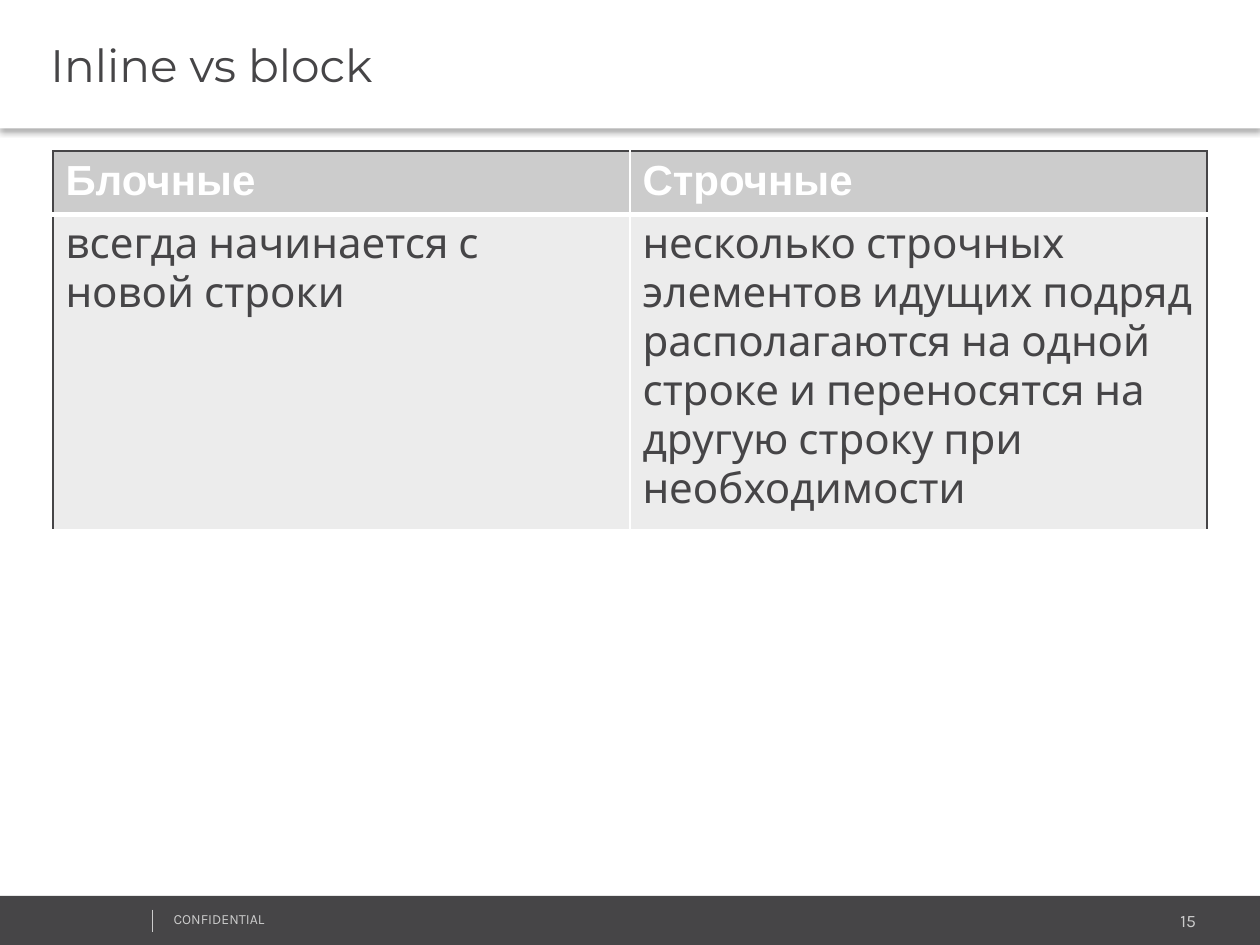
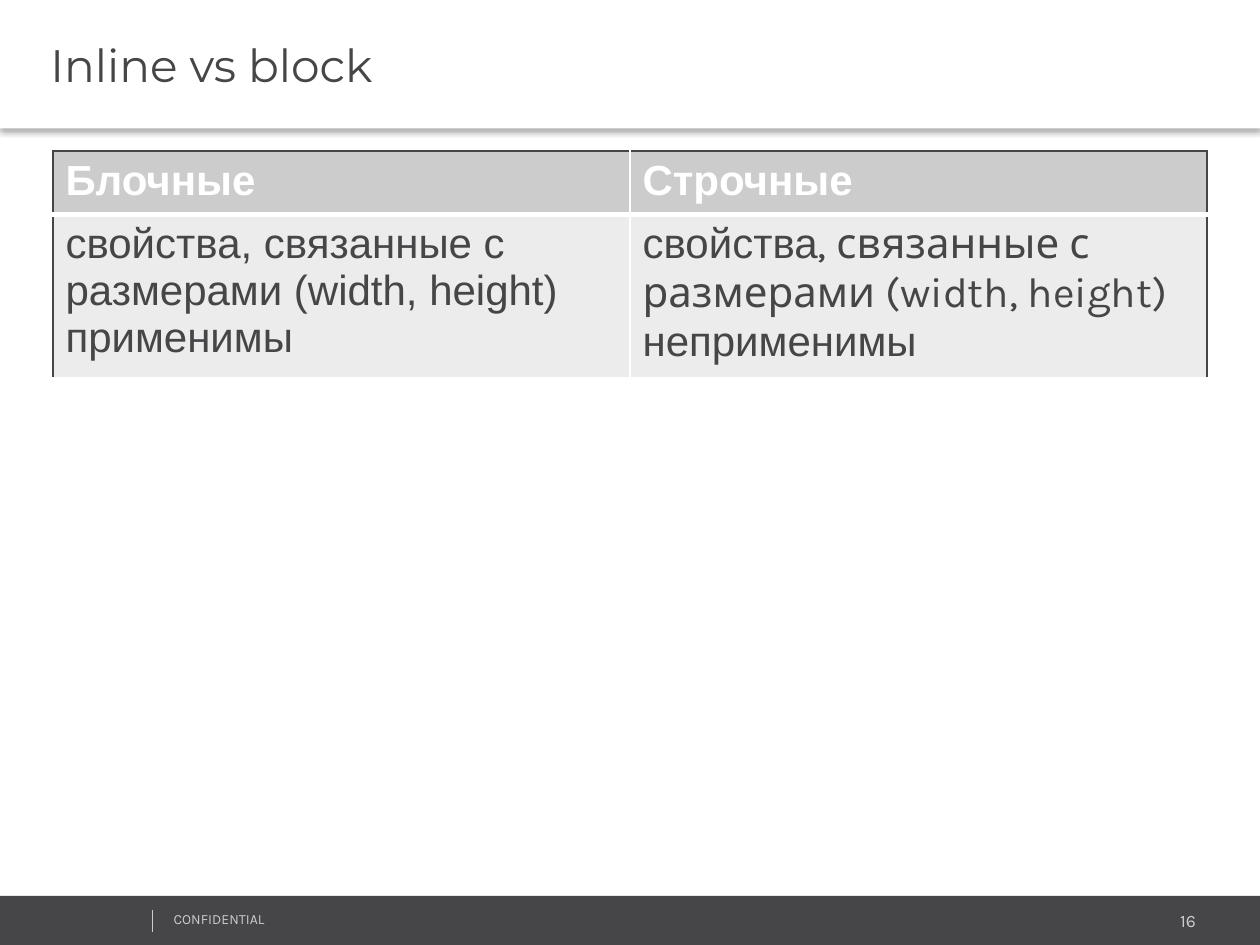
import pptx
import pptx.util
import pptx.dml.color
import pptx.enum.shapes
import pptx.enum.text
import pptx.oxml
import pptx.oxml.ns
from dataclasses import dataclass


@dataclass(frozen=True)
class Theme:
    dark: str = "464547"
    gray: str = "CCCCCC"
    pale: str = "ECECEC"
    white: str = "FFFFFF"
    shadow: str = "000000"
    title_font: str = "Montserrat"
    table_font: str = "Arial"
    accent_font: str = "Karla"
    title_size: int = 26
    table_size: int = 24
    number_size: int = 10
    footer_size: int = 8


THEME = Theme()
ARIAL, KARLA = THEME.table_font, THEME.accent_font

TITLE = "Inline vs block"
FOOTER = "CONFIDENTIAL"
HEADINGS = [[("Блочные", ARIAL)], [("Строчные ", ARIAL)]]
FIRST_NUMBER = 15
SLIDES = [
    {
        "height": 3,
        "cells": [
            [("всегда начинается с новой строки", KARLA)],
            [("несколько строчных элементов идущих подряд располагаются "
              "на одной строке и переносятся на другую строку при "
              "необходимости", KARLA)],
        ],
    },
    {
        "height": 1.8,
        "cells": [
            [("свойства, связанные с размерами (width,\u00a0height) применимы", ARIAL)],
            [("свойства", ARIAL),
             (", связанные с размерами (width,\u00a0height) ", KARLA),
             ("неприменимы", ARIAL)],
        ],
    },
]

WIDTH, HEIGHT = 10, 7.5
MARGIN = 0.42
TITLE_HEIGHT = 1.02
TABLE_TOP = 1.2
ROW_HEIGHT = 0.41
FOOTER_TOP = 7.11

inches = pptx.util.Inches
align = pptx.enum.text.PP_ALIGN
anchor = pptx.enum.text.MSO_ANCHOR


def color(value):
    return pptx.dml.color.RGBColor.from_string(value)


def xml(tag, attributes="", content=""):
    namespace = pptx.oxml.ns.nsdecls("a")
    return pptx.oxml.parse_xml(f"<a:{tag} {namespace} {attributes}>{content}</a:{tag}>")


def write_text(frame, runs, *, size, ink, bold=False, alignment=align.LEFT):
    paragraph = frame.paragraphs[0]
    paragraph.alignment = alignment
    for text, font in runs:
        run = paragraph.add_run()
        run.text = text
        run.font.name = font
        run.font.size = pptx.util.Pt(size)
        run.font.bold = bold
        run.font.color.rgb = color(ink)


def add_title(slide):
    title = slide.shapes.title
    title.left, title.top = 0, 0
    title.width, title.height = inches(WIDTH), inches(TITLE_HEIGHT)
    title.fill.solid()
    title.fill.fore_color.rgb = color(THEME.white)
    title.line.fill.background()
    title._element.spPr.append(xml("effectLst", content=(
        f'<a:outerShdw blurRad="{pptx.util.Pt(3.1)}" dist="{pptx.util.Pt(2)}" '
        'dir="5400000" algn="t" rotWithShape="0">'
        f'<a:srgbClr val="{THEME.shadow}"><a:alpha val="30000"/></a:srgbClr>'
        '</a:outerShdw>')))
    frame = title.text_frame
    frame.auto_size = pptx.enum.text.MSO_AUTO_SIZE.NONE
    frame.vertical_anchor = anchor.MIDDLE
    frame.margin_left = inches(0.4)
    write_text(frame, [(TITLE, THEME.title_font)], size=THEME.title_size, ink=THEME.dark)


def add_footer(slide, number):
    band = slide.shapes.add_shape(
        pptx.enum.shapes.MSO_SHAPE.RECTANGLE,
        0, inches(FOOTER_TOP), inches(WIDTH), inches(HEIGHT - FOOTER_TOP))
    band.shadow.inherit = False
    band.fill.solid()
    band.fill.fore_color.rgb = color(THEME.dark)
    band.line.fill.background()

    labels = [
        (str(number), (7.96, 7.17, 1.63, 0.27), THEME.number_size, align.RIGHT),
        (FOOTER, (1.28, 7.18, 2.53, 0.24), THEME.footer_size, align.LEFT),
    ]
    for text, box, size, alignment in labels:
        frame = slide.shapes.add_textbox(*map(inches, box)).text_frame
        frame.word_wrap = True
        write_text(frame, [(text, KARLA)], size=size, ink=THEME.gray, alignment=alignment)

    divider = slide.shapes.add_connector(
        pptx.enum.shapes.MSO_CONNECTOR.STRAIGHT,
        *map(inches, (1.21, 7.22, 1.21, 7.4)))
    divider.line.color.rgb = color(THEME.gray)
    divider.line.width = pptx.util.Pt(0.75)
    divider._element.spPr.append(xml("effectLst"))


def set_borders(cell, borders):
    properties = cell._tc.get_or_add_tcPr()
    for position, (side, (ink, width)) in enumerate(borders.items()):
        properties.insert(position, xml(
            f"ln{side}", f'w="{pptx.util.Pt(width)}"',
            f'<a:solidFill><a:srgbClr val="{ink}"/></a:solidFill>'))


def add_comparison(slide, cells, height):
    rows = [HEADINGS, cells]
    columns = len(HEADINGS)
    frame = slide.shapes.add_table(
        len(rows), columns, inches(MARGIN), inches(TABLE_TOP),
        inches(WIDTH - 2 * MARGIN), inches(height))
    table = frame.table
    table.horz_banding = False
    for row in table.rows:
        row.height = inches(ROW_HEIGHT)
    frame.height = inches(height)
    for row_index, row in enumerate(rows):
        header = row_index == 0
        for column_index, runs in enumerate(row):
            cell = table.cell(row_index, column_index)
            cell.fill.solid()
            cell.fill.fore_color.rgb = color(THEME.gray if header else THEME.pale)
            set_borders(cell, {
                "L": (THEME.dark if column_index == 0 else THEME.white, 1),
                "R": (THEME.dark if column_index == columns - 1 else THEME.white, 1),
                "T": (THEME.dark if header else THEME.white, 1),
                "B": (THEME.white, 3 if header else 1),
            })
            write_text(cell.text_frame, runs, size=THEME.table_size,
                       ink=THEME.white if header else THEME.dark, bold=header)


presentation = pptx.Presentation()
presentation.slide_width = inches(WIDTH)
presentation.slide_height = inches(HEIGHT)
title_only = presentation.slide_layouts.get_by_name("Title Only")

for number, content in enumerate(SLIDES, FIRST_NUMBER):
    slide = presentation.slides.add_slide(title_only)
    add_footer(slide, number)
    add_title(slide)
    add_comparison(slide, content["cells"], content["height"])

presentation.save("out.pptx")
